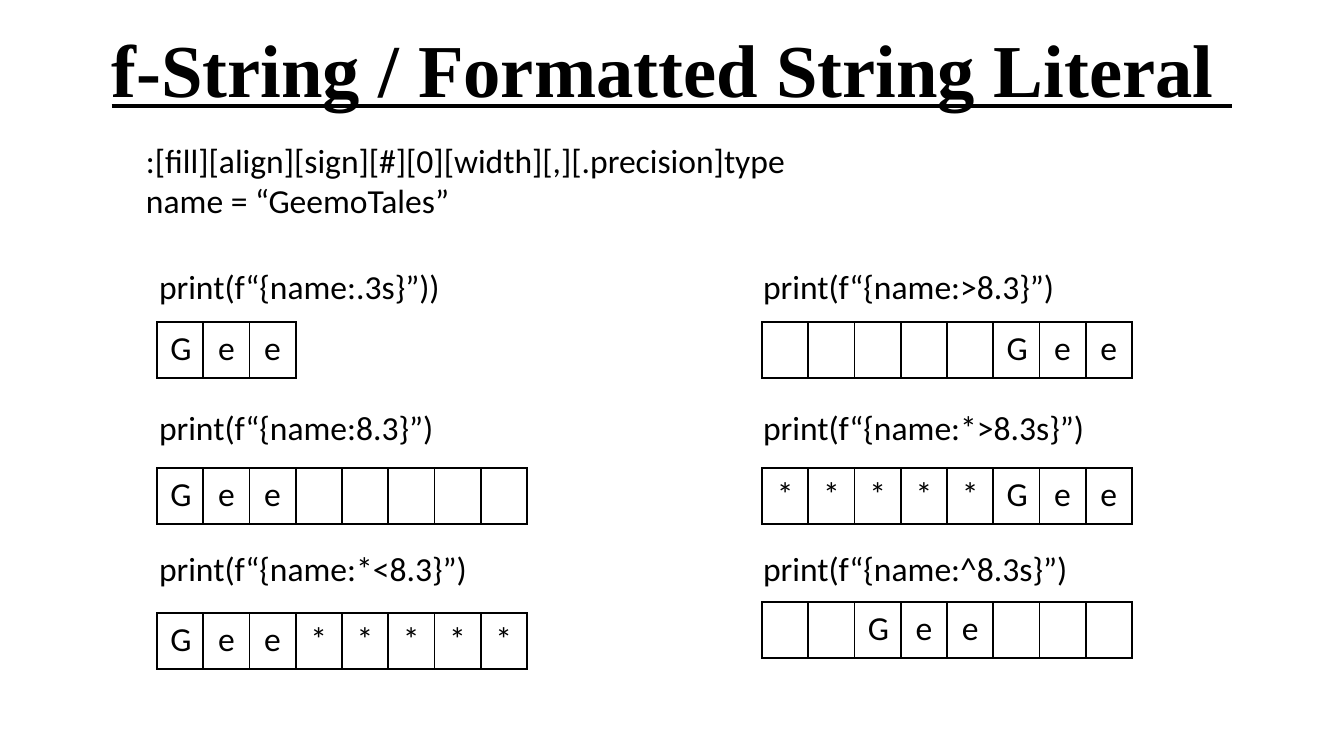
import dataclasses

import pptx
import pptx.dml.color
import pptx.enum.text
import pptx.oxml
import pptx.oxml.ns
import pptx.util

SCALE = 914400 / 134.4
PP_ALIGN = pptx.enum.text.PP_ALIGN


@dataclasses.dataclass(frozen=True)
class Theme:
    ink: str = "000000"
    title_font: str = "Times New Roman"
    body_font: str = "Calibri"
    title_size: int = 40
    body_size: int = 18
    border: int = 1


@dataclasses.dataclass(frozen=True)
class Example:
    code: str
    output: str
    column: int
    row: int
    table_top: int


THEME = Theme()
LABEL_LEFTS = (159, 763)
TABLE_LEFTS = (157, 762)
LABEL_TOP, LABEL_STEP = 266, 141
LABEL_WIDTH, LINE_HEIGHT = 480, 41
TABLE_WIDTH, TABLE_HEIGHT, FULL_CELLS = 370, 56, 8

EXAMPLES = (
    Example("print(f“{name:.3s}”))", "Gee", 0, 0, 322),
    Example("print(f“{name:8.3}”)", "Gee     ", 0, 1, 468),
    Example("print(f“{name:*<8.3}”)", "Gee*****", 0, 2, 613),
    Example("print(f“{name:>8.3}”)", "     Gee", 1, 0, 322),
    Example("print(f“{name:*>8.3s}”)", "*****Gee", 1, 1, 468),
    Example("print(f“{name:^8.3s}”)", "  Gee   ", 1, 2, 602),
)


def px(n: int) -> int:
    return round(n * SCALE)


def write(p, text: str, *, font: str = THEME.body_font, size: int = THEME.body_size,
          bold: bool = False, underline: bool = False, align=PP_ALIGN.LEFT) -> None:
    p.alignment = align
    r = p.add_run()
    r.text = text
    r.font.name = font
    r.font.size = pptx.util.Pt(size)
    r.font.bold = bold
    r.font.underline = underline
    r.font.color.rgb = pptx.dml.color.RGBColor.from_string(THEME.ink)


def add_title(s, text: str) -> None:
    sp = s.shapes.title
    sp.left, sp.top, sp.width, sp.height = (px(n) for n in (67, 5, 1210, 126))
    tf = sp.text_frame
    tf.auto_size = pptx.enum.text.MSO_AUTO_SIZE.NONE
    tf.vertical_anchor = pptx.enum.text.MSO_ANCHOR.MIDDLE
    write(tf.paragraphs[0], text, font=THEME.title_font, size=THEME.title_size,
          bold=True, underline=True, align=PP_ALIGN.CENTER)


def add_lines(s, left: int, top: int, width: int, lines: tuple[str, ...]) -> None:
    sp = s.shapes.add_textbox(px(left), px(top), px(width), px(LINE_HEIGHT * len(lines)))
    tf = sp.text_frame
    tf.word_wrap = True
    tf.margin_left = tf.margin_right = tf.margin_top = tf.margin_bottom = 0
    for i, line in enumerate(lines):
        p = tf.add_paragraph() if i else tf.paragraphs[0]
        write(p, line)


def add_borders(cell) -> None:
    tc_pr = cell._tc.get_or_add_tcPr()
    for i, side in enumerate(("lnL", "lnR", "lnT", "lnB")):
        tc_pr.insert(i, pptx.oxml.parse_xml(
            f'<a:{side} {pptx.oxml.ns.nsdecls("a")} w="{pptx.util.Pt(THEME.border)}">'
            f'<a:solidFill><a:srgbClr val="{THEME.ink}"/></a:solidFill></a:{side}>'))


def add_cells(s, left: int, top: int, output: str) -> None:
    cell_width = px(TABLE_WIDTH) // FULL_CELLS
    table = s.shapes.add_table(1, len(output), px(left), px(top),
                               cell_width * len(output), px(TABLE_HEIGHT)).table
    table.first_row = table.horz_banding = False
    for i, char in enumerate(output):
        table.columns[i].width = cell_width
        cell = table.cell(0, i)
        cell.fill.background()
        add_borders(cell)
        if char != " ":
            write(cell.text_frame.paragraphs[0], char, align=PP_ALIGN.CENTER)


def add_example(s, example: Example) -> None:
    add_lines(s, LABEL_LEFTS[example.column], LABEL_TOP + example.row * LABEL_STEP,
              LABEL_WIDTH, (example.code,))
    add_cells(s, TABLE_LEFTS[example.column], example.table_top, example.output)


def main() -> None:
    prs = pptx.Presentation()
    prs.slide_width, prs.slide_height = px(1344), px(756)
    s = prs.slides.add_slide(prs.slide_layouts[5])
    add_title(s, "f-String / Formatted String Literal ")
    add_lines(s, 146, 140, 660, (
        ":[fill][align][sign][#][0][width][,][.precision]type",
        "name = “GeemoTales”",
    ))
    for example in EXAMPLES:
        add_example(s, example)
    prs.save("out.pptx")


if __name__ == "__main__":
    main()
